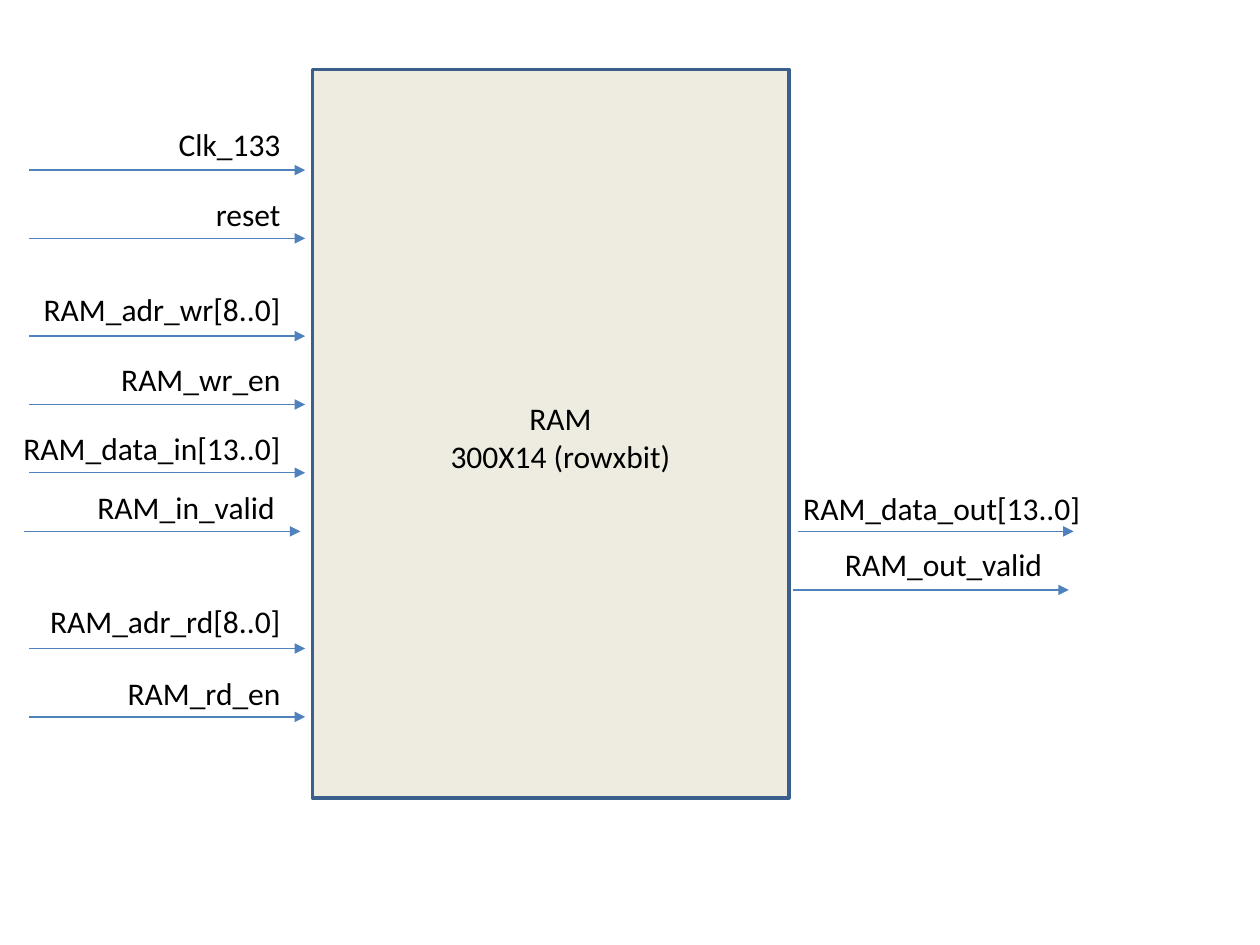
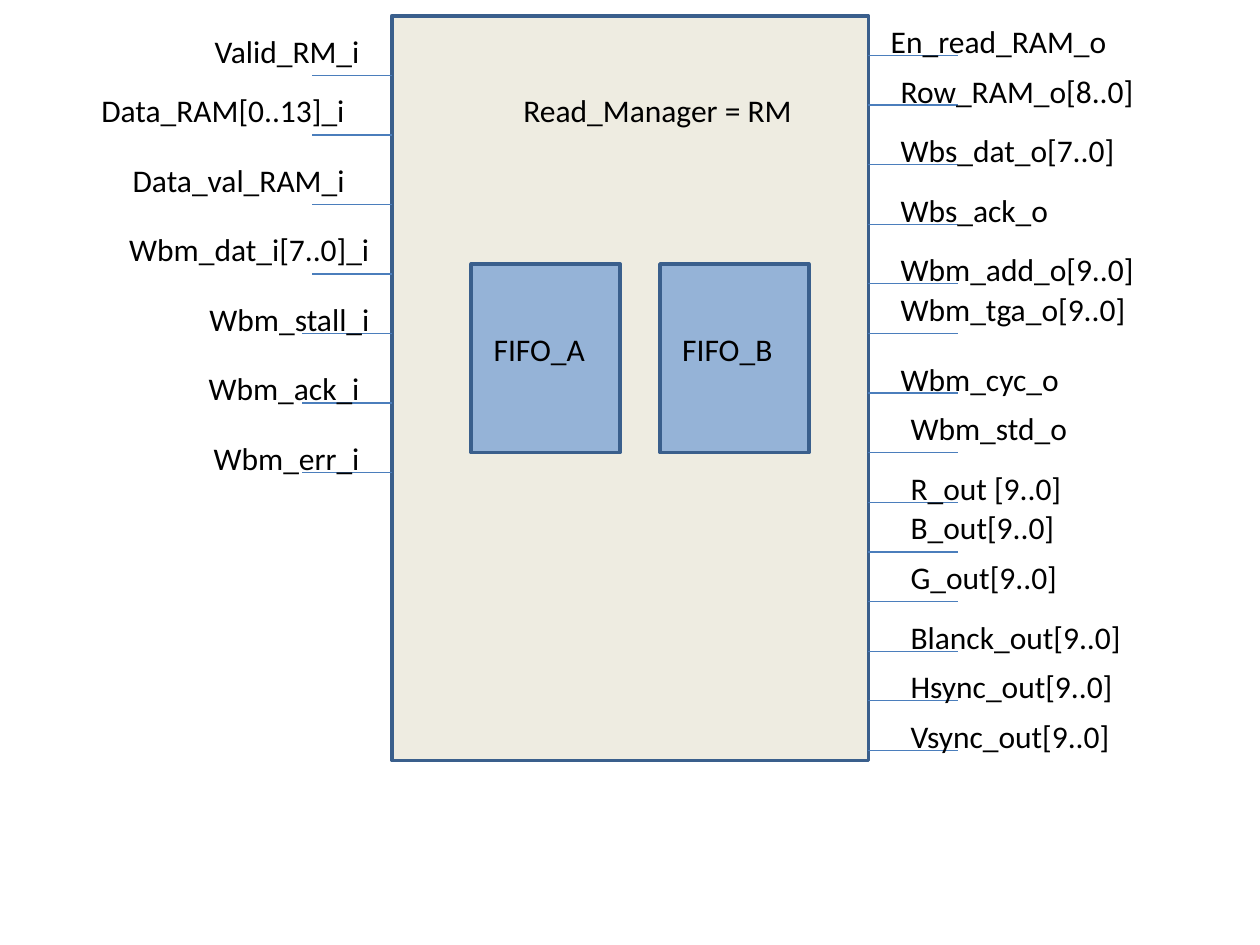
import pptx
import pptx.util
import pptx.dml.color
import pptx.enum.shapes
import pptx.enum.text
import pptx.oxml.ns
from lxml import etree
from dataclasses import dataclass

FONT, TEXT_SIZE, INK = "Calibri", 18, "000000"
BLOCK_FILL, FIFO_FILL, EDGE = "EEECE1", "95B3D7", "3A5F8C"
ARROW, PIN = "4F81BD", "4B7EBC"
LABEL_COLUMNS, LABEL_ROWS = 28, 5
ALIGN = pptx.enum.text.PP_ALIGN


@dataclass
class Grid:
    """A square grid whose origin is the main block's left edge."""
    slide: object
    left: float
    top: float
    unit: float

    def x(self, column):
        return pptx.util.Inches(self.left + column * self.unit)

    def y(self, row):
        return pptx.util.Inches(self.top + row * self.unit)

    def span(self, cells):
        return pptx.util.Inches(cells * self.unit)


def color(hex_string):
    return pptx.dml.color.RGBColor.from_string(hex_string)


def add_block(grid, column, row, columns, rows, fill):
    block = grid.slide.shapes.add_shape(
        pptx.enum.shapes.MSO_SHAPE.RECTANGLE,
        grid.x(column), grid.y(row), grid.span(columns), grid.span(rows))
    block.shadow.inherit = False
    block.fill.solid()
    block.fill.fore_color.rgb = color(fill)
    block.line.color.rgb = color(EDGE)
    block.line.width = pptx.util.Pt(2)


def add_text(grid, text, column, row, columns=LABEL_COLUMNS, rows=LABEL_ROWS,
             align=ALIGN.LEFT):
    label = grid.slide.shapes.add_textbox(
        grid.x(column), grid.y(row), grid.span(columns), grid.span(rows))
    frame = label.text_frame
    frame.word_wrap = True
    frame.text = text
    for paragraph in frame.paragraphs:
        paragraph.alignment = align
        paragraph.font.name = FONT
        paragraph.font.size = pptx.util.Pt(TEXT_SIZE)
        paragraph.font.color.rgb = color(INK)


def add_right_text(grid, text, right, row, columns=LABEL_COLUMNS):
    add_text(grid, text, right - columns, row, columns, align=ALIGN.RIGHT)


def add_wire(grid, start, end, row, stroke, arrow=False):
    wire = grid.slide.shapes.add_connector(
        pptx.enum.shapes.MSO_CONNECTOR.STRAIGHT,
        grid.x(start), grid.y(row), grid.x(end), grid.y(row))
    wire.line.color.rgb = color(stroke)
    wire.line.width = pptx.util.Pt(0.75)
    qn = pptx.oxml.ns.qn
    if arrow:
        etree.SubElement(wire.line._get_or_add_ln(), qn("a:tailEnd"), type="triangle")
    etree.SubElement(wire._element.spPr, qn("a:effectLst"))


def build_ram(slide):
    grid = Grid(slide, 2.48, 0.575, 0.0775)
    add_block(grid, 0, -0.3, 48.8, 74.6, BLOCK_FILL)
    add_text(grid, "RAM\n300X14 (rowxbit)", 11.4, 32.8, rows=9, align=ALIGN.CENTER)

    # Signals: name, right edge and row of the label, label width, wire start and row
    signals = [
        ("Clk_133", -2, 4.7, 28, -29, 10),
        ("reset", -2, 11.9, 28, -29, 17),
        ("RAM_adr_wr[8..0]", -2, 21.6, 28, -29, 27),
        ("RAM_wr_en", -2, 28.8, 28, -29, 34),
        ("RAM_data_in[13..0]", -2, 35.9, 30, -29, 41),
        ("RAM_in_valid", -2.6, 41.9, 28, -29.5, 47),
        ("RAM_adr_rd[8..0]", -2, 53.6, 28, -29, 59),
        ("RAM_rd_en", -2, 61, 28, -29, 66),
        ("RAM_data_out[13..0]", 79.9, 42, 31, 49.7, 47),
        ("RAM_out_valid", 76, 47.8, 28, 49.2, 53),
    ]
    wire_columns = 28.25
    for name, right, label_row, columns, start, wire_row in signals:
        add_right_text(grid, name, right, label_row, columns)
        add_wire(grid, start, start + wire_columns, wire_row, ARROW, arrow=True)


def build_read_manager(slide):
    grid = Grid(slide, 3.11, 0.125, 0.0788)
    block_columns = 48
    add_block(grid, 0, 0, block_columns, 75, BLOCK_FILL)
    add_text(grid, "Read_Manager = RM", 12, 7, columns=58)

    # Inputs: name, right edge and row of the label, pin start and row
    inputs = [
        ("Valid_RM_i", -2, 1, -8, 6),
        ("Data_RAM[0..13]_i", -3.5, 7, -8, 12),
        ("Data_val_RAM_i", -3.5, 14, -8, 19),
        ("Wbm_dat_i[7..0]_i", -1, 21, -8, 26),
        ("Wbm_stall_i", -1, 28, -9, 32),
        ("Wbm_ack_i", -2, 35, -9, 39),
        ("Wbm_err_i", -2, 42, -9, 46),
    ]
    for name, right, label_row, start, pin_row in inputs:
        add_wire(grid, start, 0, pin_row, PIN)
        add_right_text(grid, name, right, label_row)

    # Outputs: name, column and row of the label, pin row
    outputs = [
        ("En_read_RAM_o", 49, 0, 4),
        ("Row_RAM_o[8..0]", 50, 5, 9),
        ("Wbs_dat_o[7..0]", 50, 11, 15),
        ("Wbs_ack_o", 50, 17, 21),
        ("Wbm_add_o[9..0]", 50, 23, 27),
        ("Wbm_tga_o[9..0]", 50, 27, 32),
        ("Wbm_cyc_o", 50, 34, 38),
        ("Wbm_std_o", 51, 39, 44),
        ("R_out [9..0]", 51, 45, 49),
        ("B_out[9..0]", 51, 49, 54),
        ("G_out[9..0]", 51, 54, 59),
        ("Blanck_out[9..0]", 51, 60, 64),
        ("Hsync_out[9..0]", 51, 65, 69),
        ("Vsync_out[9..0]", 51, 70, 74),
    ]
    for name, column, label_row, pin_row in outputs:
        add_wire(grid, block_columns, block_columns + 9, pin_row, PIN)
        add_text(grid, name, column, label_row)

    # Buffers inside the block
    for name, column in (("FIFO_A", 8), ("FIFO_B", 27)):
        add_block(grid, column, 25, 15, 19, FIFO_FILL)
        add_text(grid, name, column + 1, 31, columns=13)


def main():
    deck = pptx.Presentation()
    deck.slide_width = pptx.util.Inches(10)
    deck.slide_height = pptx.util.Inches(7.5)
    blank = deck.slide_layouts[6]
    for build in (build_ram, build_read_manager):
        build(deck.slides.add_slide(blank))
    deck.save("out.pptx")


if __name__ == "__main__":
    main()
